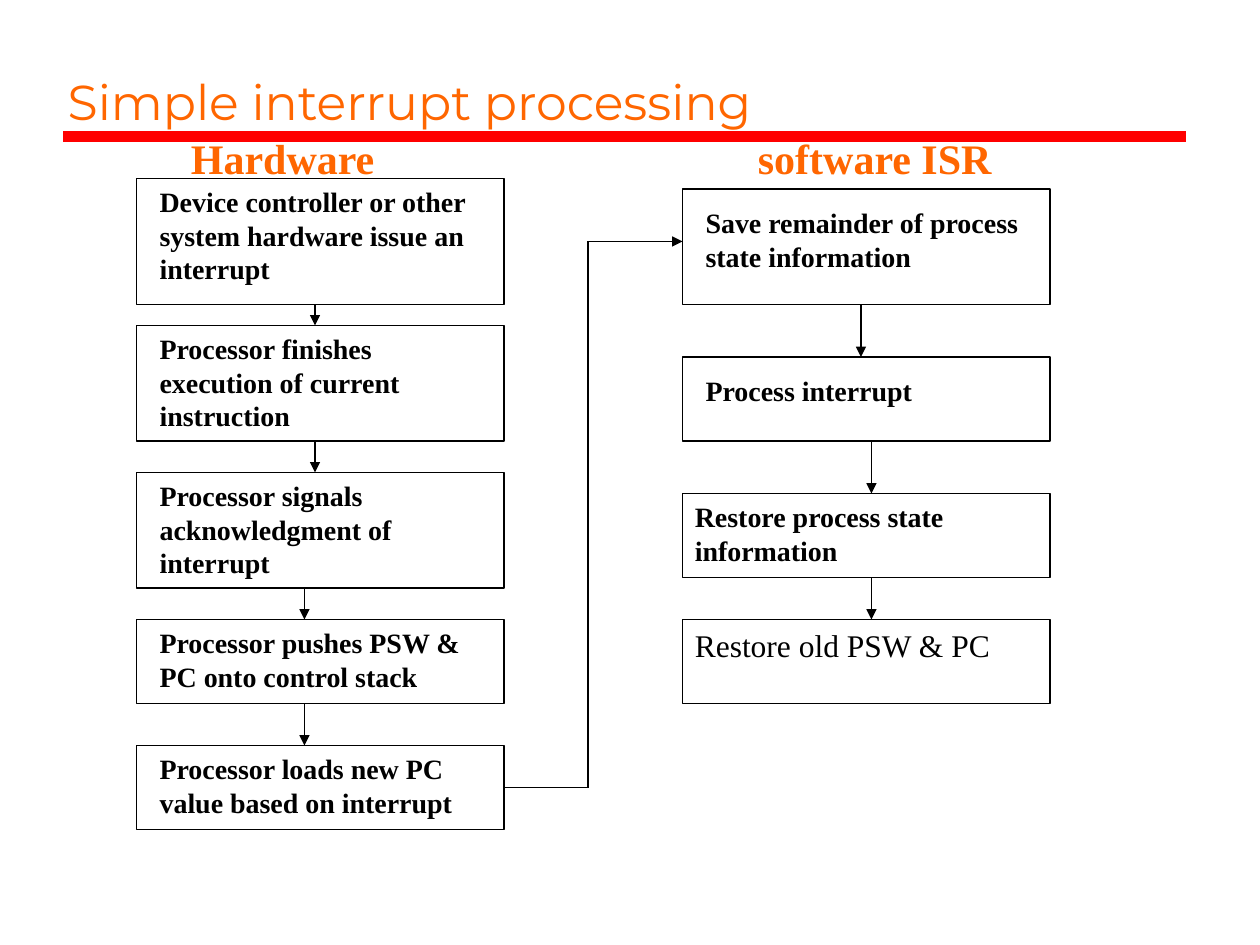
from pptx import Presentation
from pptx.dml.color import RGBColor
from pptx.enum.shapes import MSO_CONNECTOR, MSO_SHAPE
from pptx.enum.text import MSO_ANCHOR, MSO_AUTO_SIZE, PP_ALIGN
from pptx.oxml.ns import qn
from pptx.util import Pt
from lxml import etree

STRAIGHT = MSO_CONNECTOR.STRAIGHT
RECTANGLE = MSO_SHAPE.RECTANGLE
TOP, BOTTOM = MSO_ANCHOR.TOP, MSO_ANCHOR.BOTTOM
LEFT = PP_ALIGN.LEFT
RIGHT_SIDE = 3

COLORS = {"accent": "FF6600", "rule": "FF0000", "ink": "000000"}
HEADING_FONT, BODY_FONT = "Montserrat", "Times New Roman"
TITLE_ONLY = 5
STEP_WIDTH = 210

# Each step: text, top, height, text indent, text drop, size, bold
HARDWARE_STEPS = [
    ("Device controller or other system hardware issue an interrupt", 0, 72, 6, 0, 16, True),
    ("Processor finishes execution of current instruction", 84, 66, 6, 0, 16, True),
    ("Processor signals acknowledgment of interrupt", 168, 66, 6, 0, 16, True),
    ("Processor pushes PSW & PC onto control stack", 252, 48, 6, 0, 16, True),
    ("Processor loads new PC value based on interrupt", 324, 48, 6, 0, 16, True),
]
SOFTWARE_STEPS = [
    ("Save remainder of process state information", 0, 66, 6, 6, 16, True),
    ("Process interrupt", 96, 48, 6, 6, 16, True),
    ("Restore process state information", 174, 48, 0, 0, 16, True),
    ("Restore old PSW & PC", 246, 48, 0, 0, 18, False),
]


def color(name):
    return RGBColor.from_string(COLORS[name])


def write(shape, text, font_name, size, color_name, bold=False, anchor=TOP):
    frame = shape.text_frame
    frame.text = text
    frame.word_wrap = True
    frame.auto_size = MSO_AUTO_SIZE.NONE
    frame.vertical_anchor = anchor
    paragraph = frame.paragraphs[0]
    paragraph.alignment = LEFT
    font = paragraph.runs[0].font
    font.name, font.size, font.bold = font_name, Pt(size), bold
    font.color.rgb = color(color_name)


def add_line(slide, start, end, color_name="ink", width=0.75, arrow=False):
    line = slide.shapes.add_connector(STRAIGHT, *(Pt(value) for value in (*start, *end)))
    line.line.color.rgb = color(color_name)
    line.line.width = Pt(width)
    properties = line._element.spPr
    if arrow:
        outline = properties.find(qn("a:ln"))
        etree.SubElement(outline, qn("a:tailEnd"), type="triangle")
    etree.SubElement(properties, qn("a:effectLst"))
    return line


def add_title(slide, left, top, width, height):
    title = slide.shapes.title
    title.left, title.top, title.width, title.height = map(Pt, (left, top, width, height))
    write(title, "Simple interrupt processing", HEADING_FONT, 28, "accent", anchor=BOTTOM)
    add_line(slide, (36, top + height), (678, top + height), "rule", 6)


def add_heading(slide, text, left, top, width, height):
    heading = slide.shapes.add_textbox(Pt(left), Pt(top), Pt(width), Pt(height))
    write(heading, text, BODY_FONT, 24, "accent", bold=True)


def add_step_column(slide, left, top, steps, arrow_offsets):
    """Stack the steps, link neighbours with arrows and return the boxes."""
    boxes = []
    for text, offset, height, indent, drop, size, bold in steps:
        box = slide.shapes.add_shape(
            RECTANGLE, Pt(left), Pt(top + offset), Pt(STEP_WIDTH), Pt(height))
        box.shadow.inherit = False
        box.fill.background()
        box.line.color.rgb = color("ink")
        box.line.width = Pt(0.75)
        write(box, text, BODY_FONT, size, "ink", bold)
        box.text_frame.margin_left = Pt(7.2 + indent)
        box.text_frame.margin_top = Pt(3.6 + drop)
        boxes.append(box)
    for upper, lower, offset in zip(boxes, boxes[1:], arrow_offsets):
        x = left + offset
        add_line(slide, (x, (upper.top + upper.height).pt if hasattr(upper.top + upper.height, "pt")
                         else Pt(0).pt + (upper.top + upper.height) / Pt(1)),
                 (x, lower.top.pt), arrow=True)
    return boxes


def add_handover(slide, source, start, bend_x, end):
    """Lead from the last hardware step to the first software step."""
    corners = [start, (bend_x, start[1]), (bend_x, end[1]), end]
    segments = [add_line(slide, *pair, arrow=pair[1] == end)
                for pair in zip(corners, corners[1:])]
    segments[0].begin_connect(source, RIGHT_SIDE)


def main():
    presentation = Presentation()
    presentation.slide_width, presentation.slide_height = Pt(720), Pt(540)
    slide = presentation.slides.add_slide(presentation.slide_layouts[TITLE_ONLY])

    add_title(slide, 31.5, 12, 646, 66)
    add_heading(slide, "Hardware", 102, 72, 126, 36)
    add_heading(slide, "software ISR", 426, 72, 174, 36)
    hardware = add_step_column(slide, 78, 102, HARDWARE_STEPS, (102, 102, 96, 96))
    add_step_column(slide, 390, 108, SOFTWARE_STEPS, (102, 108, 108))
    add_handover(slide, hardware[-1], (288, 450), 336, (390, 138))

    presentation.save("out.pptx")


if __name__ == "__main__":
    main()
